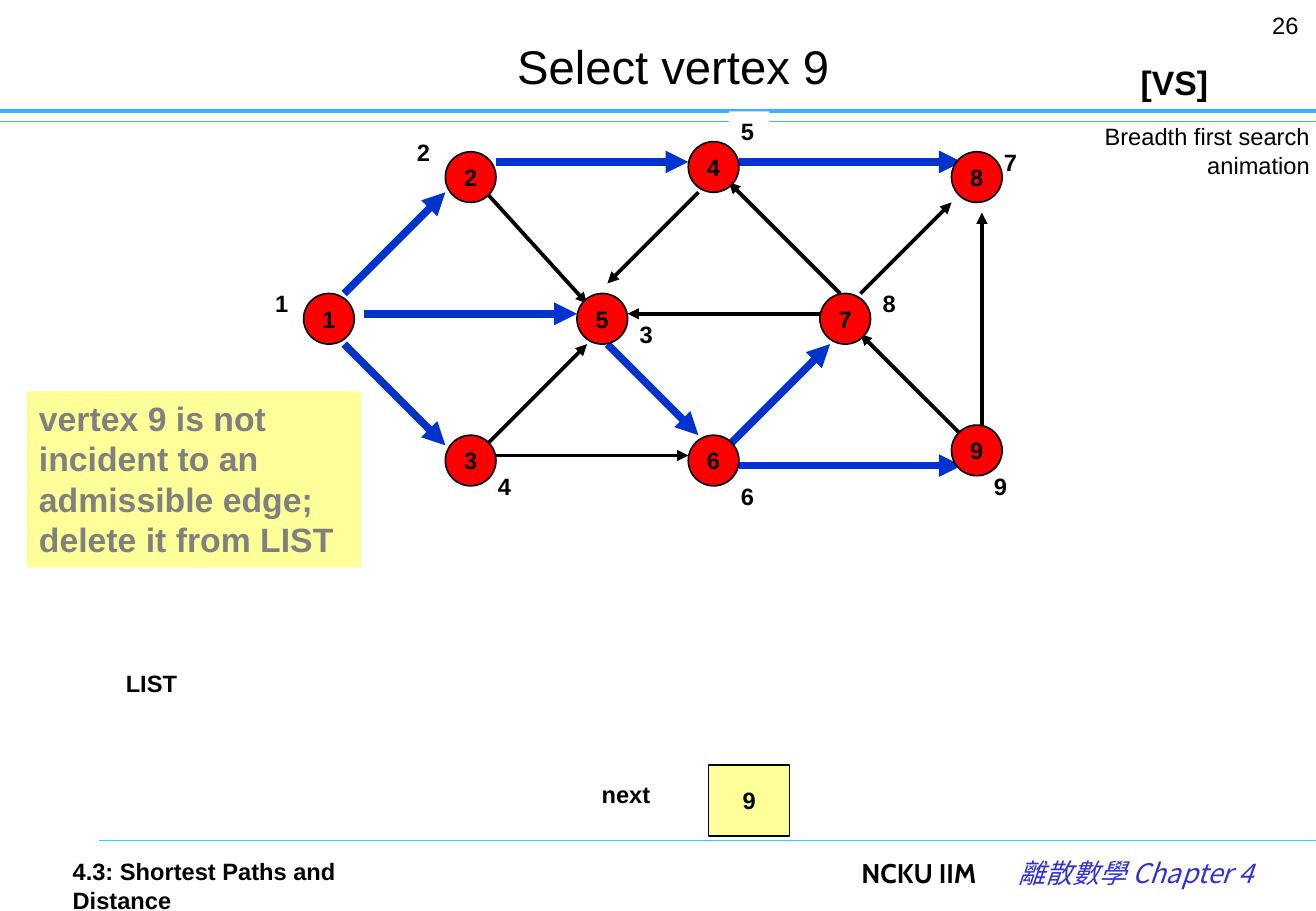
from lxml import etree
from pptx import Presentation
from pptx.dml.color import RGBColor
from pptx.enum import shapes, text
from pptx.oxml import ns
from pptx.util import Pt

# Content: all lengths in points
BLACK, WHITE, RED, NOTE = "000000", "FFFFFF", "FF0000", "FFFF99"
TREE_BLUE, HEADER_BLUE, FOOTER_BLUE, CHAPTER_BLUE = "0033CC", "3DB0FF", "33CCFF", "3333CC"
NODE_SIZE = 30
LABEL_WIDTH, LABEL_HEIGHT = 24, 24.5

# Left, top, right and width of the rules
RULES = [
    (0, 72, 780, HEADER_BLUE, 0.75),
    (0, 66, 780, HEADER_BLUE, 2.5),
    (58.5, 498, 780, FOOTER_BLUE, 0.75),
]
# Vertex: node left and top, label left and top, visiting order
VERTICES = {
    "1": (180, 174, 156, 168, "1"),
    "2": (264, 90, 240, 78, "2"),
    "3": (264, 258, 288, 276, "4"),
    "4": (408, 84, 432, 66, "5"),
    "5": (342, 174, 372, 186, "3"),
    "6": (408, 258, 432, 282, "6"),
    "7": (486, 174, 516, 168, "8"),
    "8": (564, 90, 588, 84, "7"),
    "9": (564, 252, 582, 276, "9"),
}
# Edges: start x and y, end x and y
OTHER_EDGES = [
    (288, 114, 348, 180),
    (414, 114, 360, 168),
    (498, 174, 432, 108),
    (510, 174, 564, 120),
    (486, 186, 372, 186),
    (288, 264, 348, 204),
    (294, 270, 408, 270),
    (570, 258, 510, 198),
    (582, 252, 582, 126),
]
TREE_EDGES = [
    (204, 174, 264, 114),
    (216, 186, 342, 186),
    (204, 204, 264, 264),
    (294, 96, 408, 96),
    (438, 96, 570, 96),
    (360, 204, 414, 258),
    (432, 264, 492, 204),
    (438, 276, 570, 276),
]
# Text: words, box, size, bold, alignment
LEFT, CENTER, RIGHT = text.PP_ALIGN.LEFT, text.PP_ALIGN.CENTER, text.PP_ALIGN.RIGHT
TEXTS = [
    ("LIST", (67.5, 393, 52, 24.5), 14, True, LEFT),
    ("next", (349.5, 459, 52, 24.5), 14, True, LEFT),
    ("Breadth first search animation", (600, 69, 183.5, 42), 14, False, RIGHT),
    ("26", (747, 3, 33, 24.5), 14, False, LEFT),
    ("4.3: Shortest Paths and Distance", (36, 504.5, 200, 42), 14, True, LEFT),
    ("[VS]", (669, 33, 55, 32), 20, True, LEFT),
]
NOTE_TEXT = "vertex 9 is not incident to an admissible edge; delete it from LIST"


def color(value):
    return RGBColor.from_string(value)


def write(shape, words, size, bold=False, align=LEFT, ink=BLACK, font="Arial",
          anchor=text.MSO_ANCHOR.TOP, italic=False):
    frame = shape.text_frame
    frame.text = words
    frame.word_wrap = True
    frame.vertical_anchor = anchor
    paragraph = frame.paragraphs[0]
    paragraph.alignment = align
    run = paragraph.runs[0]
    run.font.size, run.font.bold, run.font.italic = Pt(size), bold, italic
    run.font.name = font
    run.font.color.rgb = color(ink)
    east_asian = etree.SubElement(run.font._element, ns.qn("a:ea"))
    east_asian.set("typeface", font)


def add_text(words, box, size, *args, **options):
    shape = slide.shapes.add_textbox(*map(Pt, box))
    write(shape, words, size, *args, **options)


def add_filled(kind, box, fill, line=None):
    shape = slide.shapes.add_shape(kind, *map(Pt, box))
    shape.shadow.inherit = False
    shape.fill.solid()
    shape.fill.fore_color.rgb = color(fill)
    if line:
        shape.line.color.rgb = color(line)
        shape.line.width = Pt(1)
    else:
        shape.line.fill.background()
    return shape


def add_line(ends, ink, width, arrow=False):
    line = slide.shapes.add_connector(shapes.MSO_CONNECTOR.STRAIGHT, *map(Pt, ends))
    line.line.color.rgb = color(ink)
    line.line.width = Pt(width)
    if arrow:
        tail = etree.SubElement(line.line._get_or_add_ln(), ns.qn("a:tailEnd"))
        tail.set("type", "triangle")
    etree.SubElement(line._element.spPr, ns.qn("a:effectLst"))


presentation = Presentation()
presentation.slide_width, presentation.slide_height = Pt(780), Pt(540)
slide = presentation.slides.add_slide(presentation.slide_layouts[6])
RECTANGLE, OVAL = shapes.MSO_SHAPE.RECTANGLE, shapes.MSO_SHAPE.OVAL
MIDDLE = text.MSO_ANCHOR.MIDDLE

# Header, footer and title
for left, top, right, ink, width in RULES:
    add_line((left, top, right, top), ink, width)
add_text("Select vertex 9", (66, 18, 666, 42), 28, align=CENTER, anchor=MIDDLE)
add_text("NCKU IIM", (503.5, 504, 90, 36), 16, True, font="Cabin")
add_text("離散數學 Chapter 4", (570, 504, 180, 36), 16, align=RIGHT,
         ink=CHAPTER_BLUE, font="Noto Sans CJK SC", italic=True)

# Visiting order beside each vertex
for _, _, left, top, order in VERTICES.values():
    label = add_filled(RECTANGLE, (left, top, LABEL_WIDTH, LABEL_HEIGHT), WHITE)
    write(label, order, 14, True)

# Edges, the search tree on top
for edges, ink, width in ((OTHER_EDGES, BLACK, 2.25), (TREE_EDGES, TREE_BLUE, 4.5)):
    for ends in edges:
        add_line(ends, ink, width, arrow=True)

# Vertices
for vertex, (left, top, *_) in VERTICES.items():
    node = add_filled(OVAL, (left, top, NODE_SIZE, NODE_SIZE), RED, BLACK)
    write(node, vertex, 14, True, CENTER, anchor=MIDDLE)
    node.text_frame.word_wrap = False

# Note, next vertex and remaining text
note = add_filled(RECTANGLE, (16, 232, 198, 104.5), NOTE)
write(note, NOTE_TEXT, 20, True, ink="808080")
next_vertex = add_filled(RECTANGLE, (420, 453.5, 48, 42), NOTE, BLACK)
write(next_vertex, "9", 14, True, CENTER, anchor=MIDDLE)
for item in TEXTS:
    add_text(*item)

presentation.save("out.pptx")
